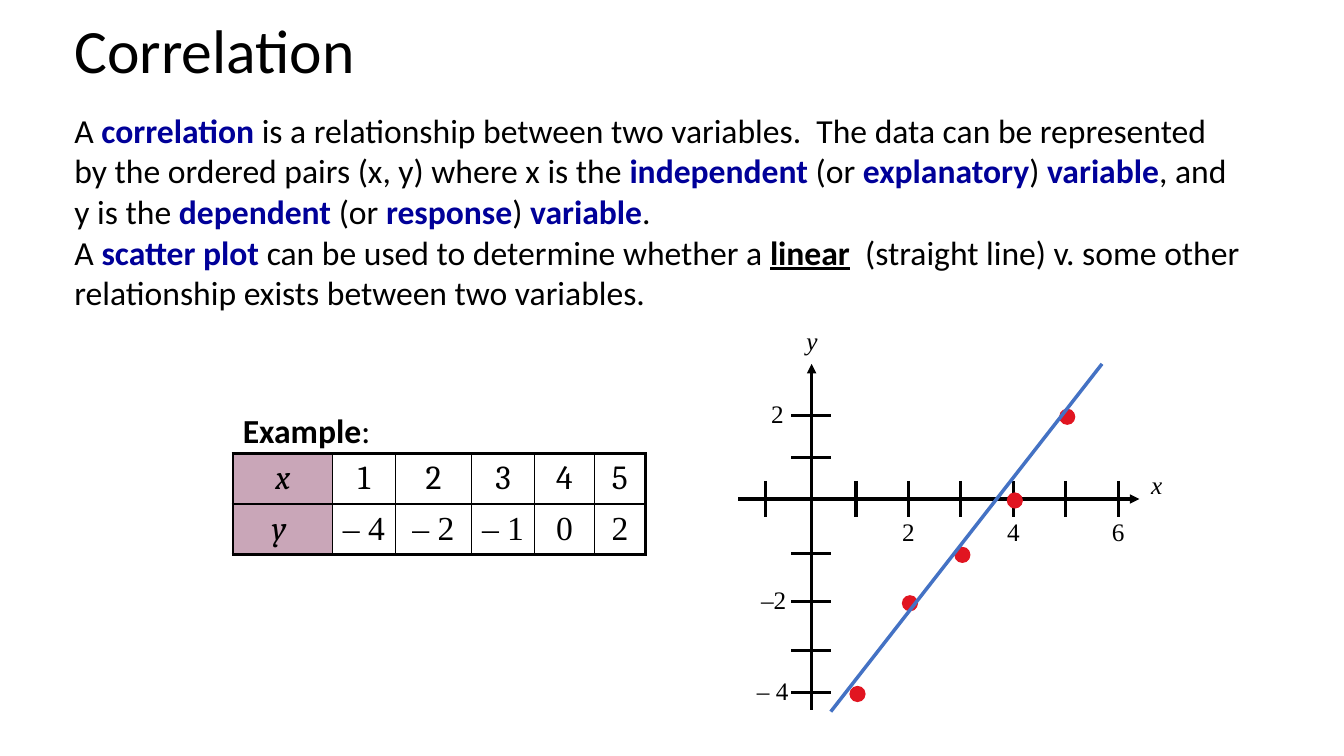
from pptx import Presentation
from pptx.dml.color import RGBColor
from pptx.enum.shapes import MSO_CONNECTOR as Line, MSO_SHAPE as Shape
from pptx.enum.text import MSO_ANCHOR as Anchor, PP_ALIGN as Align
from pptx.oxml import parse_xml
from pptx.oxml.ns import nsdecls
from pptx.util import Inches, Pt

COLORS = {"ink": "000000", "term": "000099", "head": "954F72",
          "dot": "E11521", "trend": "4472C4"}
BODY, MATH, SERIF = "Calibri", "Cambria", "Times New Roman"

# Text spans: (wording, style)
PLAIN, TERM = {}, {"bold": True, "color": "term"}
DEFINITION = [
    ("A ", PLAIN), ("correlation ", TERM),
    ("is a relationship between two variables.  The data can be represented "
     "by the ordered pairs (x, y) where x is the", PLAIN),
    (" independent ", TERM), ("(or", PLAIN), (" explanatory", TERM),
    (")", PLAIN), (" variable", TERM), (", and y is the", PLAIN),
    (" dependent ", TERM), ("(or", PLAIN), (" response", TERM),
    (")", PLAIN), (" variable", TERM), (".", PLAIN)]
SCATTER = [
    ("A ", PLAIN), ("scatter plot ", TERM),
    ("can be used to determine whether a ", PLAIN),
    ("linear", {"bold": True, "underline": True}),
    ("  (straight line) v. some other relationship exists between "
     "two variables.", PLAIN)]
EXAMPLE = [("Example", {"bold": True}), (":", PLAIN)]

# Table and plot data
ROWS = [["x", "1", "2", "3", "4", "5"],
        ["y ", "– 4", "– 2", "– 1", "0", "2"]]
COLUMN_WIDTHS = [0.99, 0.62, 0.76, 0.62, 0.6, 0.5]
POINTS = [(1, -4), (2, -2), (3, -1), (4, 0), (5, 2)]
# Distances of the ticks from the origin, in inches
X_TICKS = {-1: -0.46, **{n: 0.52 * n - 0.08 for n in range(1, 7)}}
Y_TICKS = {2: -0.83, 1: -0.41, 0: 0, -1: 0.54, -2: 1.02, -3: 1.5, -4: 1.92}
Y_LABELS = [(2, "2", -0.5), (-2, "–2", -0.6), (-4, "– 4", -0.64)]


def rgb(name):
    return RGBColor.from_string(COLORS[name])


def add_spans(para, spans, font, size):
    for wording, style in spans:
        span = para.add_run()
        span.text = wording
        values = {"name": font, "size": Pt(size), "bold": False, **style}
        span.font.color.rgb = rgb(values.pop("color", "ink"))
        for key, value in values.items():
            setattr(span.font, key, value)


def add_text(page, box, spans, font=BODY, size=24, wrap=True,
             anchor=Anchor.TOP, **para_format):
    frame = page.shapes.add_textbox(*map(Inches, box)).text_frame
    frame.word_wrap = wrap
    frame.vertical_anchor = anchor
    para = frame.paragraphs[0]
    for key, value in para_format.items():
        setattr(para, key, value)
    add_spans(para, spans, font, size)


def add_line(page, start, end, color="ink", width=2.25, arrow=False):
    line = page.shapes.add_connector(Line.STRAIGHT, *map(Inches, start + end))
    line.line.color.rgb = rgb(color)
    line.line.width = Pt(width)
    if arrow:
        line.line._get_or_add_ln().append(
            parse_xml(f'<a:tailEnd {nsdecls("a")} type="triangle"/>'))
    line._element.spPr.append(parse_xml(f'<a:effectLst {nsdecls("a")}/>'))


def add_borders(cell, widths):
    properties = cell._tc.get_or_add_tcPr()
    for index, (side, width) in enumerate(widths.items()):
        properties.insert(index, parse_xml(
            f'<a:ln{side} {nsdecls("a")} w="{Pt(width)}"><a:solidFill>'
            f'<a:srgbClr val="{COLORS["ink"]}"/></a:solidFill></a:ln{side}>'))


def add_intro(page, box):
    left, top, width, height = box
    add_text(page, (left, top, 11.5, 0.8), [("Correlation", PLAIN)],
             size=44, anchor=Anchor.MIDDLE, line_spacing=0.9)
    add_text(page, (left, top + 0.91, 11.63, 1.71), DEFINITION)
    add_text(page, (left, top + 2.12, width, height - 2.12), SCATTER)


def add_example(page, box):
    left, top, width, height = box
    add_text(page, (left, top, 1.48, 0.5), EXAMPLE, wrap=False)
    frame = page.shapes.add_table(
        len(ROWS), len(COLUMN_WIDTHS),
        *map(Inches, (left, top + 0.48, width, height - 0.48)))
    table = frame.table
    table.first_row = table.horz_banding = False
    for column, column_width in zip(table.columns, COLUMN_WIDTHS):
        column.width = Inches(column_width)
    last_row, last_column = len(ROWS) - 1, len(COLUMN_WIDTHS) - 1
    for r, row in enumerate(ROWS):
        for c, wording in enumerate(row):
            cell = table.cell(r, c)
            cell.vertical_anchor = Anchor.MIDDLE
            cell.margin_left = cell.margin_right = Inches(0.08)
            para = cell.text_frame.paragraphs[0]
            para.alignment = Align.CENTER
            font = SERIF if r and c else MATH
            add_spans(para, [(wording, {"italic": c == 0})], font, 24)
            if c:
                cell.fill.background()
            else:
                cell.fill.solid()
                cell.fill.fore_color.rgb = rgb("head")
                tint = cell._tc.tcPr.find(".//{*}srgbClr")
                tint.append(parse_xml(
                    f'<a:alpha {nsdecls("a")} val="50000"/>'))
            # Heavy outer frame, thin inner rules
            outer = {"L": c == 0, "R": c == last_column,
                     "T": r == 0, "B": r == last_row}
            add_borders(cell, {side: 2.25 if edge else 1
                               for side, edge in outer.items()})


def add_plot(page, box):
    left, top, width, height = box
    right, bottom = left + width, top + height
    x0, y0 = left + 0.73, top + 1.77

    def add_label(wording, x, y, italic=False):
        add_text(page, (x, y, 0.6, 0.4), [(wording, {"italic": italic})],
                 font=SERIF, size=18)

    # Axes and their names
    add_line(page, (left, y0), (right - 0.61, y0), arrow=True)
    add_line(page, (x0, bottom - 0.02), (x0, top + 0.43), arrow=True)
    add_label("x", right - 0.59, y0 - 0.34, italic=True)
    add_label("y", x0 - 0.15, top, italic=True)

    # Ticks
    for step in X_TICKS.values():
        add_line(page, (x0 + step, y0 - 0.18), (x0 + step, y0 + 0.18))
    for value, step in Y_TICKS.items():
        if value:
            add_line(page, (x0 - 0.2, y0 + step), (x0 + 0.19, y0 + step))

    # Tick labels
    for value in (2, 4, 6):
        add_label(str(value), x0 + X_TICKS[value] - 0.16, y0 + 0.12)
    for value, wording, shift in Y_LABELS:
        add_label(wording, x0 + shift, y0 + Y_TICKS[value] - 0.22)

    # Data points and trend line
    size = 0.15
    for x, y in POINTS:
        dot = page.shapes.add_shape(
            Shape.OVAL, Inches(x0 + X_TICKS[x] - 0.06),
            Inches(y0 + Y_TICKS[y] - 0.06), Inches(size), Inches(size))
        dot.shadow.inherit = False
        dot.fill.solid()
        dot.fill.fore_color.rgb = dot.line.color.rgb = rgb("dot")
        dot.line.width = Pt(0.75)
    add_line(page, (x0 + 0.19, bottom), (x0 + 2.88, top + 0.43),
             color="trend", width=2.5)


def main():
    deck = Presentation()
    deck.slide_width, deck.slide_height = Inches(13.33), Inches(7.5)
    page = deck.slides.add_slide(deck.slide_layouts[6])
    add_intro(page, (0.64, 0.13, 11.78, 3.04))
    add_example(page, (2.31, 4.02, 4.09, 1.45))
    add_plot(page, (7.32, 3.18, 4.59, 3.88))
    deck.save("out.pptx")


if __name__ == "__main__":
    main()
